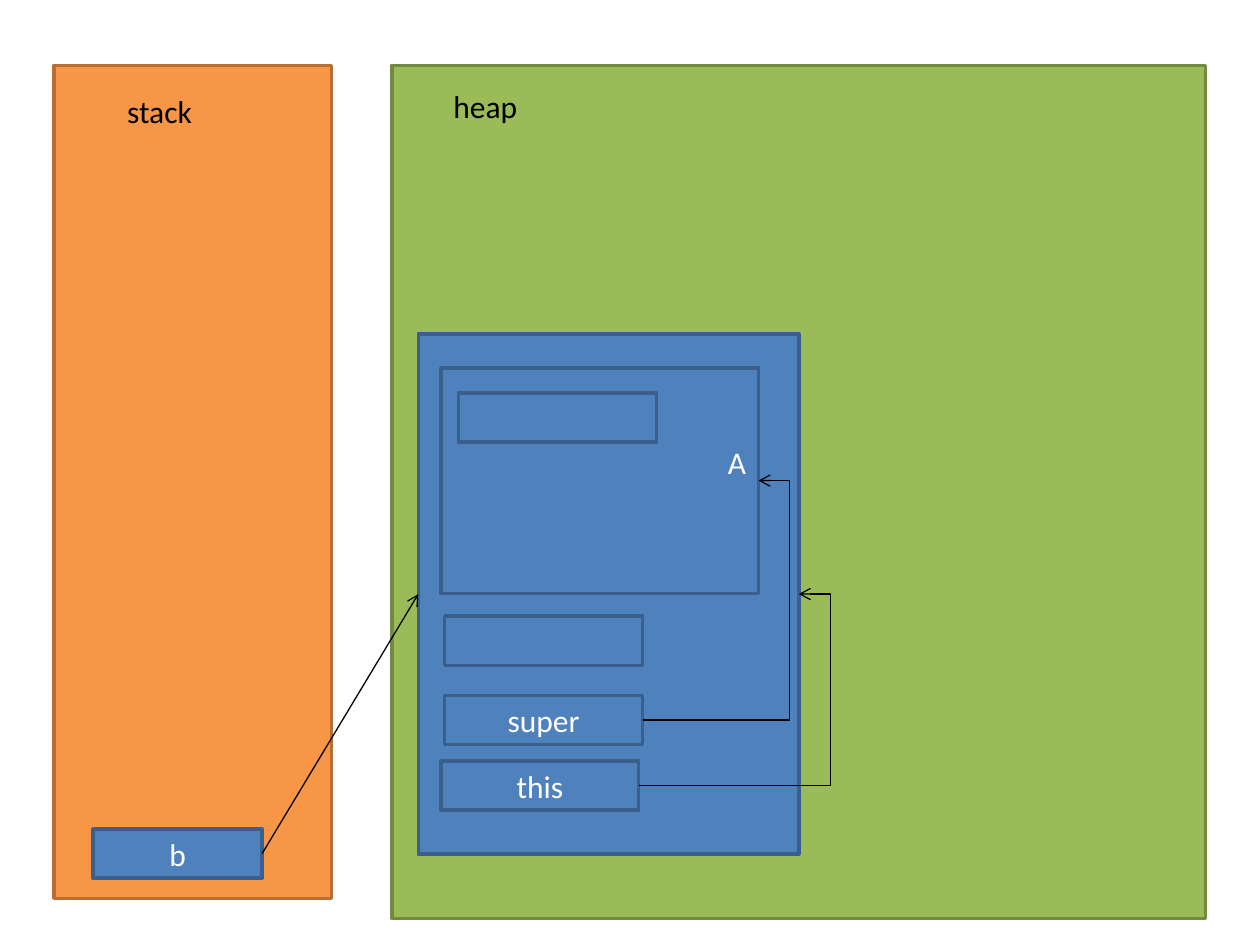
import pptx
import pptx.util
import pptx.dml.color
import pptx.enum.shapes
import pptx.enum.text
import pptx.oxml
import pptx.oxml.ns
from dataclasses import dataclass

Inches = pptx.util.Inches
Pt = pptx.util.Pt
Align = pptx.enum.text.PP_ALIGN
Link = pptx.enum.shapes.MSO_CONNECTOR
LEFT, RIGHT = 1, 3  # connection sites of a rectangle


@dataclass(frozen=True)
class Theme:
    font: str = "Calibri"
    size: int = 18
    edge: float = 2
    thin: float = 0.75
    dark: str = "000000"
    light: str = "FFFFFF"
    # fill and line pairs
    green: tuple = ("9BBB59", "738A42")
    orange: tuple = ("F79646", "B76F34")
    blue: tuple = ("4F81BD", "3A5F8C")
    clear: tuple = (None, "3A5F8C")


def rgb(code):
    return pptx.dml.color.RGBColor.from_string(code)


class Board:
    def __init__(self, theme, slide):
        self.theme = theme
        self.slide = slide

    def letter(self, frame, text, color, align):
        para = frame.paragraphs[0]
        para.text = text
        para.alignment = align
        para.font.name = self.theme.font
        para.font.size = Pt(self.theme.size)
        para.font.color.rgb = rgb(color)

    def box(self, area, look, text="", align=Align.CENTER):
        shape = self.slide.shapes.add_shape(
            pptx.enum.shapes.MSO_SHAPE.RECTANGLE, *map(Inches, area))
        shape.shadow.inherit = False
        fill, edge = look
        if fill:
            shape.fill.solid()
            shape.fill.fore_color.rgb = rgb(fill)
        else:
            shape.fill.background()
        shape.line.color.rgb = rgb(edge)
        shape.line.width = Pt(self.theme.edge)
        if text:
            shape.text_frame.vertical_anchor = pptx.enum.text.MSO_ANCHOR.MIDDLE
            self.letter(shape.text_frame, text, self.theme.light, align)
        return shape

    def label(self, area, text):
        frame = self.slide.shapes.add_textbox(*map(Inches, area)).text_frame
        frame.word_wrap = True
        self.letter(frame, text, self.theme.dark, Align.LEFT)

    def arrow(self, start, end, side, bend=None):
        """Join the right of start to a side of end; bend is the elbow ratio."""
        kind = Link.ELBOW if bend else Link.STRAIGHT
        tip = end.left + (end.width if side == RIGHT else 0)
        line = self.slide.shapes.add_connector(
            kind, start.left + start.width, start.top + start.height // 2,
            tip, end.top + end.height // 2)
        line.begin_connect(start, RIGHT)
        line.end_connect(end, side)
        line.line.color.rgb = rgb(self.theme.dark)
        line.line.width = Pt(self.theme.thin)
        name = pptx.oxml.ns.qn
        props = line._element.spPr
        edge = props.find(name("a:ln"))
        edge.append(edge.makeelement(name("a:tailEnd"), {"type": "arrow"}))
        props.append(props.makeelement(name("a:effectLst"), {}))
        if bend:
            geom = props.find(name("a:prstGeom"))
            guides = geom.find(name("a:avLst"))
            if guides is None:
                guides = geom.makeelement(name("a:avLst"), {})
                geom.append(guides)
            guides.append(guides.makeelement(name("a:gd"), {
                "name": "adj1", "fmla": f"val {round(bend * 100000)}"}))


theme = Theme()
deck = pptx.Presentation()
deck.slide_width, deck.slide_height = Inches(10), Inches(7.5)
board = Board(theme, deck.slides.add_slide(deck.slide_layouts[6]))

# Memory areas
board.box((3.11, 0.52, 6.46, 6.77), theme.green)
board.box((0.43, 0.52, 2.2, 6.61), theme.orange)
board.label((0.91, 0.68, 1.18, 0.4), "stack")
board.label((3.5, 0.64, 1.18, 0.4), "heap")

# Variable on the stack and its object
ref = board.box((0.74, 6.58, 1.34, 0.39), theme.blue, "b")
obj = board.box((3.32, 2.65, 3.02, 4.13), theme.blue)
board.arrow(ref, obj, LEFT)

# Fields, with the parent part drawn over its own field
slots = {}
for name, left, top, text in (
        ("own", 3.53, 4.89, ""), ("base", 3.64, 3.12, ""),
        ("this", 3.5, 6.04, "this"), ("super", 3.53, 5.52, "super")):
    slots[name] = board.box((left, top, 1.57, 0.39), theme.blue, text)
base = board.box((3.5, 2.92, 2.52, 1.79), theme.clear, "A", Align.RIGHT)
base.text_frame.margin_bottom = Inches(0.35)

# References inside the object
board.arrow(slots["this"], obj, RIGHT, 1.2)
board.arrow(slots["super"], base, RIGHT, 1.27)

deck.save("out.pptx")
